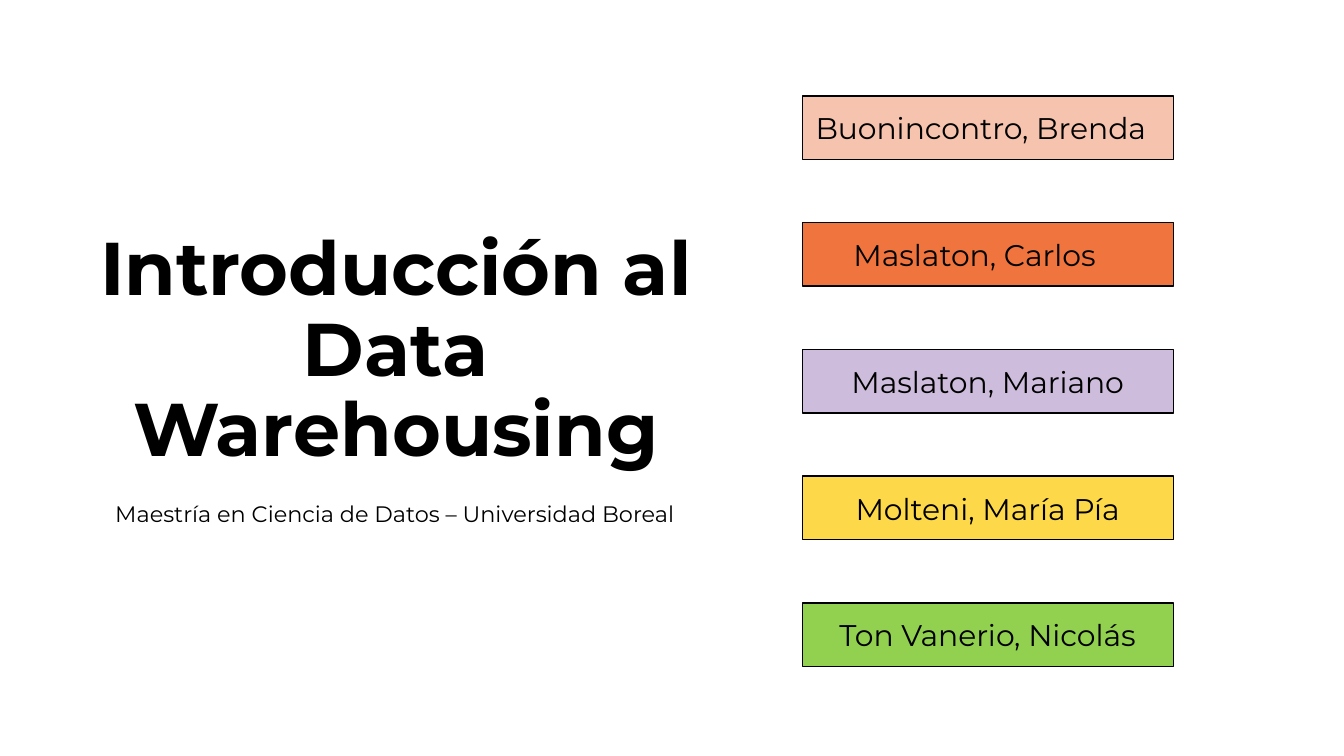
from dataclasses import dataclass

from pptx import Presentation
from pptx.dml.color import RGBColor as Rgb
from pptx.enum.shapes import MSO_SHAPE as Shape
from pptx.enum.text import MSO_ANCHOR as Anchor, PP_ALIGN as Align
from pptx.util import Pt


@dataclass(frozen=True)
class Theme:
    font: str = "Montserrat"
    ink: str = "000000"
    peach: str = "F6C3AE"
    orange: str = "F0743E"
    lilac: str = "CDBCDC"
    yellow: str = "FDD849"
    green: str = "92D050"
    title: int = 40
    name: int = 16
    note: int = 12
    inset: float = 7.2


THEME = Theme()

# Name bars: text, fill, alignment, extra right inset
BARS = [
    ("Buonincontro, Brenda", THEME.peach, Align.LEFT, 0),
    ("Maslaton, Carlos", THEME.orange, Align.CENTER, 14),
    ("Maslaton, Mariano", THEME.lilac, Align.CENTER, 0),
    ("Molteni, María Pía", THEME.yellow, Align.CENTER, 0),
    ("Ton Vanerio, Nicolás", THEME.green, Align.CENTER, 0),
]
BAR_X, BAR_Y, BAR_W, BAR_H = 429.8, 51.4, 198.8, 34
STEP = 67.9


def write(shape, text, size, align, anchor, bold=False, extra=0):
    """Put one formatted run in the shape."""
    frame = shape.text_frame
    frame.word_wrap = True
    frame.vertical_anchor = anchor
    frame.margin_left = frame.margin_top = frame.margin_bottom = Pt(THEME.inset)
    frame.margin_right = Pt(THEME.inset + extra)
    para = frame.paragraphs[0]
    para.alignment = align
    run = para.add_run()
    run.text = text
    font = run.font
    font.name, font.size, font.bold = THEME.font, Pt(size), bold
    font.color.rgb = Rgb.from_string(THEME.ink)
    return para


def add_title(slide, text):
    title = slide.shapes.title
    title.left, title.top = Pt(35.3), Pt(136.8)
    title.width, title.height = Pt(353.5), Pt(123.8)
    para = write(title, text, THEME.title, Align.CENTER, Anchor.BOTTOM, True)
    para.line_spacing = 0.9
    para.space_before = Pt(0)


def add_note(slide, text):
    box = slide.shapes.add_textbox(Pt(43.9), Pt(260.6), Pt(335.5), Pt(43.9))
    write(box, text, THEME.note, Align.CENTER, Anchor.TOP)


def add_bar(slide, top, text, fill, align, extra):
    bar = slide.shapes.add_shape(
        Shape.RECTANGLE, Pt(BAR_X), Pt(top), Pt(BAR_W), Pt(BAR_H))
    bar.shadow.inherit = False
    bar.fill.solid()
    bar.fill.fore_color.rgb = Rgb.from_string(fill)
    bar.line.color.rgb = Rgb.from_string(THEME.ink)
    bar.line.width = Pt(0.75)
    write(bar, text, THEME.name, align, Anchor.BOTTOM, extra=extra)


def main():
    deck = Presentation()
    deck.slide_width, deck.slide_height = Pt(720), Pt(405)
    slide = deck.slides.add_slide(deck.slide_layouts[5])

    # Title and course line
    add_title(slide, "Introducción al Data Warehousing")

    # Team members, evenly stacked
    for i, bar in enumerate(BARS):
        add_bar(slide, BAR_Y + i * STEP, *bar)

    add_note(slide, "Maestría en Ciencia de Datos – Universidad Boreal")

    deck.save("out.pptx")


if __name__ == "__main__":
    main()
